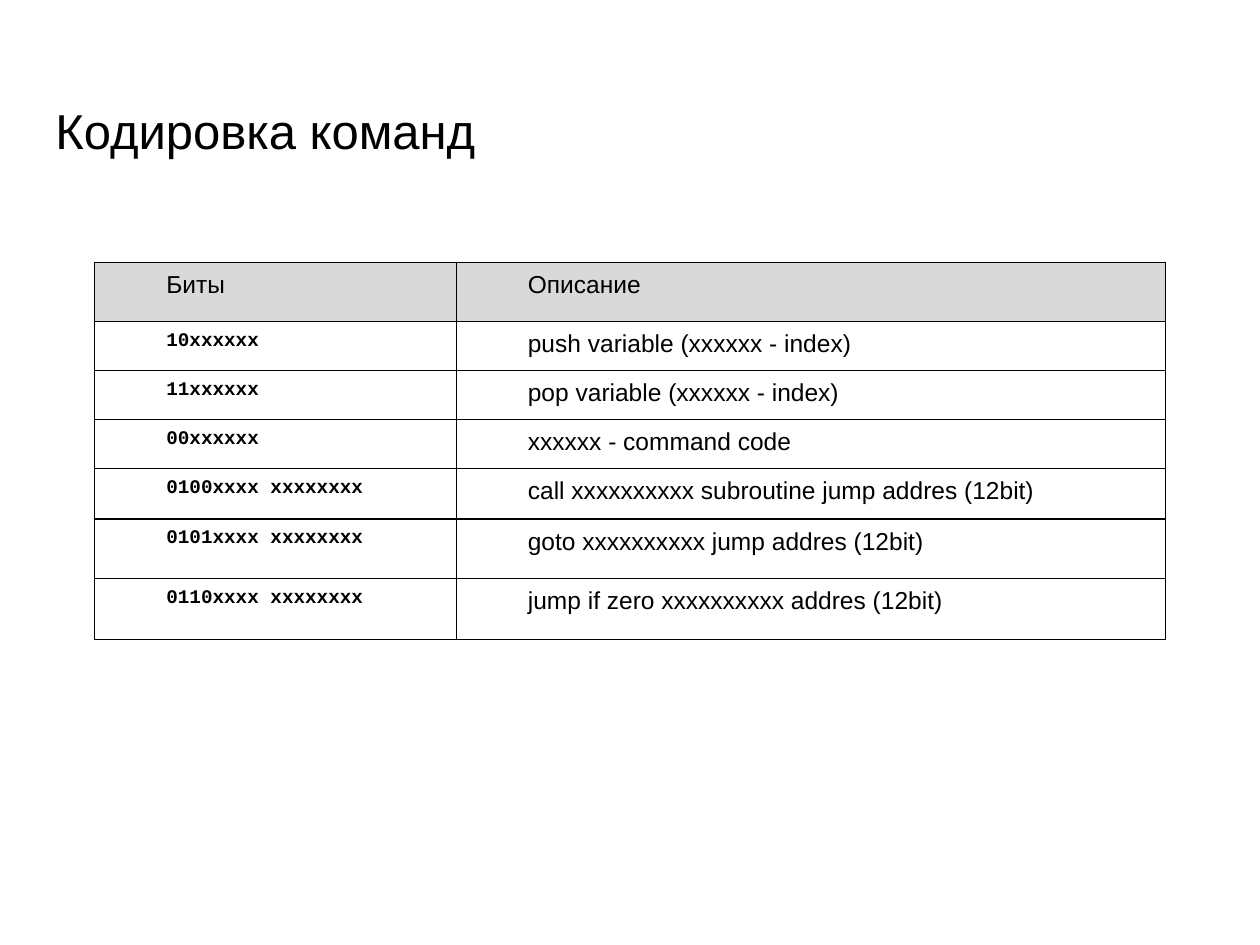
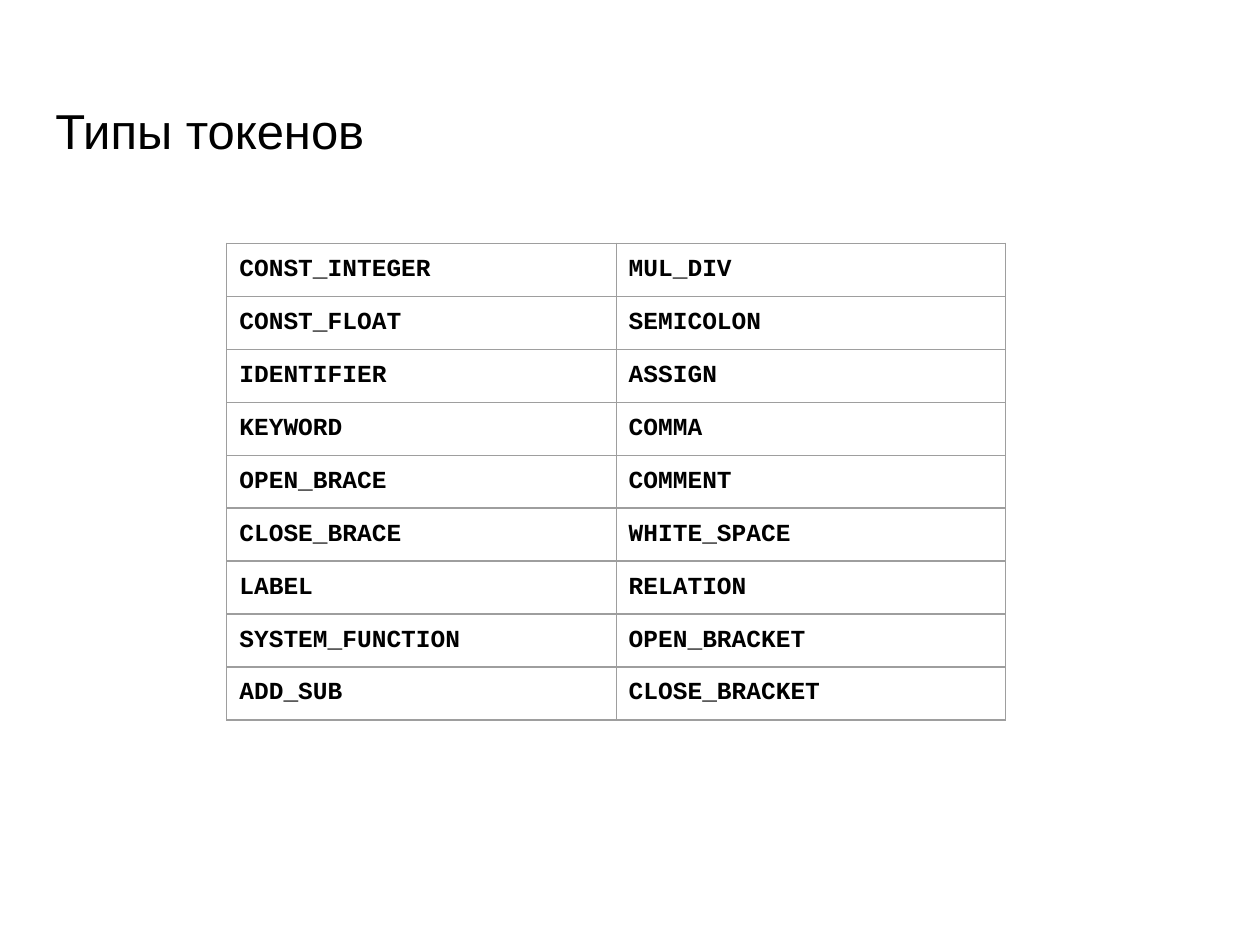
from pptx import Presentation, util as u
from pptx.dml.color import RGBColor
from pptx.enum import text
from pptx.oxml import parse_xml
from pptx.oxml.ns import nsdecls

COLORS = {"ink": "000000", "header": "D9D9D9", "grid": "9E9E9E"}
SANS, MONO = "Arial", "Courier New"
WIDTH, HEIGHT = u.Inches(10), u.Inches(7.5)

COMMANDS = [
    ("Биты", "Описание"),
    ("10xxxxxx", "push variable (xxxxxx - index)"),
    ("11xxxxxx", "pop variable (xxxxxx - index)"),
    ("00xxxxxx", "xxxxxx - command code"),
    ("0100xxxx xxxxxxxx", "call xxxxxxxxxx subroutine jump addres (12bit)"),
    ("0101xxxx xxxxxxxx", "goto xxxxxxxxxx jump addres (12bit)"),
    ("0110xxxx xxxxxxxx", "jump if zero xxxxxxxxxx addres (12bit)"),
]
TOKENS = [
    ("CONST_INTEGER", "MUL_DIV"),
    ("CONST_FLOAT", "SEMICOLON"),
    ("IDENTIFIER", "ASSIGN"),
    ("KEYWORD", "COMMA"),
    ("OPEN_BRACE", "COMMENT"),
    ("CLOSE_BRACE", "WHITE_SPACE"),
    ("LABEL", "RELATION"),
    ("SYSTEM_FUNCTION", "OPEN_BRACKET"),
    ("ADD_SUB", "CLOSE_BRACKET"),
]


# Lengths as percentages of the slide
def across(percent):
    return round(WIDTH * percent / 100)


def down(percent):
    return round(HEIGHT * percent / 100)


def write(frame, words, size=14, font=SANS, bold=False, color="ink", indent=0):
    """Put one left-aligned paragraph into a text frame."""
    para = frame.paragraphs[0]
    para.alignment = text.PP_ALIGN.LEFT
    if indent:
        properties = para._p.get_or_add_pPr()
        properties.set("marL", str(u.Inches(indent)))
        properties.set("indent", "0")
    span = para.add_run()
    span.text = words
    span.font.size, span.font.name, span.font.bold = u.Pt(size), font, bold
    span.font.color.rgb = RGBColor.from_string(COLORS[color])


def add_page(deck, title):
    page = deck.slides.add_slide(deck.slide_layouts.get_by_name("Title Only"))
    box = page.shapes.title
    box.left, box.top = across(3.4), down(8.67)
    box.width, box.height = across(93.2), down(11.07)
    frame = box.text_frame
    frame.auto_size = text.MSO_AUTO_SIZE.NONE
    frame.vertical_anchor = text.MSO_ANCHOR.TOP
    frame.margin_left = frame.margin_right = frame.margin_bottom = u.Inches(0.1)
    frame.margin_top = u.Inches(0.15)
    write(frame, title, size=28)
    return page


def set_borders(cell, color):
    properties = cell._tc.get_or_add_tcPr()
    for side in "LRTB":
        properties.append(parse_xml(
            f'<a:ln{side} {nsdecls("a")} w="{u.Pt(0.75)}"><a:solidFill>'
            f'<a:srgbClr val="{COLORS[color]}"/></a:solidFill></a:ln{side}>'))


def add_grid(page, left, top, columns, rows, cells, style,
             border="ink", margin=0.1, header=None):
    """Draw a table; style(row, column) gives the text format of a cell."""
    table = page.shapes.add_table(len(rows), len(columns), across(left), down(top),
                                  across(sum(columns)), down(sum(rows))).table
    table.first_row = table.horz_banding = False
    for column, share in zip(table.columns, columns):
        column.width = across(share)
    for row, share in zip(table.rows, rows):
        row.height = down(share)
    for r, line in enumerate(cells):
        for c, words in enumerate(line):
            cell = table.cell(r, c)
            cell.margin_left = cell.margin_right = u.Inches(margin)
            cell.margin_top = cell.margin_bottom = u.Inches(margin)
            set_borders(cell, border)
            if header and r == 0:
                cell.fill.solid()
                cell.fill.fore_color.rgb = RGBColor.from_string(COLORS[header])
            else:
                cell.fill.background()
            write(cell.text_frame, words, **style(r, c))


def command_style(row, column):
    if row and column == 0:
        return dict(size=11, font=MONO, bold=True, indent=0.5)
    return dict(indent=0.5)


def token_style(row, column):
    return dict(font=MONO, bold=True)


def main():
    deck = Presentation()
    deck.slide_width, deck.slide_height = WIDTH, HEIGHT

    # Command encoding
    page = add_page(deck, "Кодировка команд")
    add_grid(page, 7.5, 27.73, [28.7, 56.3], [6.27, 5.2, 5.2, 5.2, 5.33, 6.27, 6.53],
             COMMANDS, command_style, margin=0.07, header="header")

    # Token types
    page = add_page(deck, "Типы токенов")
    add_grid(page, 18, 25.73, [30.9] * 2, [5.6] * len(TOKENS),
             TOKENS, token_style, border="grid")

    deck.save("out.pptx")


if __name__ == "__main__":
    main()
